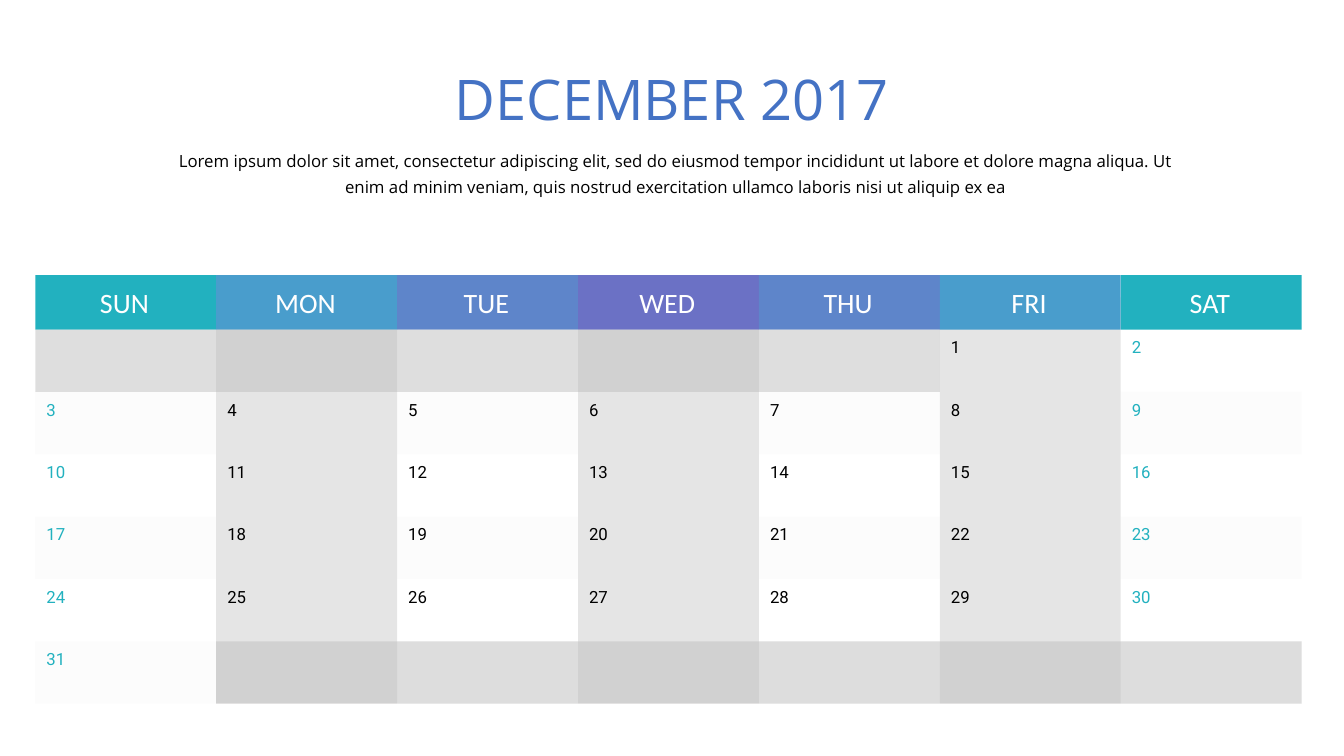
from lxml import etree
from pptx import Presentation
from pptx.dml.color import RGBColor
from pptx.enum import shapes, text
from pptx.oxml import ns
from pptx.util import Inches, Pt

TITLE = "DECEMBER 2017"
INTRO = ("Lorem ipsum dolor sit amet, consectetur adipiscing elit, sed do eiusmod "
         "tempor incididunt ut labore et dolore magna aliqua. Ut enim ad minim veniam, "
         "quis nostrud exercitation ullamco laboris nisi ut aliquip ex ea")

TEAL = RGBColor(0x22, 0xB1, 0xBF)
SKY = RGBColor(0x49, 0x9D, 0xCC)
BLUE = RGBColor(0x5E, 0x85, 0xCA)
VIOLET = RGBColor(0x6B, 0x71, 0xC5)
TITLE_BLUE = RGBColor(0x44, 0x72, 0xC4)
BAND_GRAY = RGBColor(0xE7, 0xE6, 0xE6)
EMPTY_GRAY = RGBColor(0xBF, 0xBF, 0xBF)
BLACK = RGBColor(0, 0, 0)
WHITE = RGBColor(0xFF, 0xFF, 0xFF)

WEEKDAYS = [("SUN", TEAL), ("MON", SKY), ("TUE", BLUE), ("WED", VIOLET),
            ("THU", BLUE), ("FRI", SKY), ("SAT", TEAL)]
DAYS_IN_MONTH = 31
FIRST_COLUMN = 5
SHADED_COLUMNS = (1, 3, 5)
BANDED_WEEKS = (1, 3, 5)
WEEKS = 6

LEFT, RIGHT = 0.35, 12.91
HEADER_TOP, HEADER_HEIGHT = 2.73, 0.54
WEEKS_TOP, BOTTOM = 3.27, 6.98
COLUMN_WIDTH = (RIGHT - LEFT) / len(WEEKDAYS)
WEEK_HEIGHT = (BOTTOM - WEEKS_TOP) / WEEKS
SHADE_TOP = 2.95  # tucked under the header row


def column_left(column):
    return LEFT + column * COLUMN_WIDTH


def week_top(week):
    return WEEKS_TOP + week * WEEK_HEIGHT


def add_block(parent, left, top, width, height, color, opacity=100):
    """Add a borderless rectangle; opacity is in percent."""
    shape = parent.shapes.add_shape(shapes.MSO_SHAPE.RECTANGLE, Inches(left),
                                    Inches(top), Inches(width), Inches(height))
    shape.shadow.inherit = False
    shape.line.fill.background()
    shape.fill.solid()
    shape.fill.fore_color.rgb = color
    if opacity < 100:
        color_element = shape.fill._xPr.find(".//" + ns.qn("a:srgbClr"))
        etree.SubElement(color_element, ns.qn("a:alpha"), val=str(opacity * 1000))


def add_label(parent, label, left, top, width, height, font, size, color,
              align=text.PP_ALIGN.CENTER, anchor=text.MSO_ANCHOR.MIDDLE,
              inset=0.06, wrap=True, line_spacing=None):
    box = parent.shapes.add_textbox(Inches(left), Inches(top),
                                    Inches(width), Inches(height))
    frame = box.text_frame
    frame.word_wrap = wrap
    frame.vertical_anchor = anchor
    frame.margin_left = frame.margin_right = Inches(inset)
    frame.margin_top = frame.margin_bottom = Inches(inset)
    frame.text = label
    paragraph = frame.paragraphs[0]
    paragraph.alignment = align
    paragraph.line_spacing = line_spacing
    run_font = paragraph.runs[0].font
    run_font.name = font
    run_font.size = Pt(size)
    run_font.color.rgb = color


def add_calendar(slide):
    calendar = slide.shapes.add_group_shape()

    for column in SHADED_COLUMNS:
        add_block(calendar, column_left(column), SHADE_TOP, COLUMN_WIDTH,
                  BOTTOM - SHADE_TOP, BLACK, 10)
    for week in BANDED_WEEKS:
        add_block(calendar, LEFT, week_top(week), RIGHT - LEFT, WEEK_HEIGHT,
                  BAND_GRAY, 10)

    for column, (name, color) in enumerate(WEEKDAYS):
        left = column_left(column)
        add_block(calendar, left, HEADER_TOP, COLUMN_WIDTH, HEADER_HEIGHT, color)
        add_label(calendar, name, left + 0.02, HEADER_TOP + 0.02, 1.73, 0.49,
                  "Calibri", 20, WHITE)

    first_empty = column_left((FIRST_COLUMN + DAYS_IN_MONTH) % len(WEEKDAYS))
    add_block(calendar, LEFT, week_top(0), column_left(FIRST_COLUMN) - LEFT,
              WEEK_HEIGHT, EMPTY_GRAY, 50)
    add_block(calendar, first_empty, week_top(WEEKS - 1), RIGHT - first_empty,
              WEEK_HEIGHT, EMPTY_GRAY, 50)

    for day in range(1, DAYS_IN_MONTH + 1):
        week, column = divmod(FIRST_COLUMN + day - 1, len(WEEKDAYS))
        color = TEAL if column in (0, 6) else BLACK
        add_label(calendar, str(day), column_left(column) + 0.05, week_top(week),
                  0.65, 0.35, "Roboto", 12, color, align=text.PP_ALIGN.LEFT)


def main():
    presentation = Presentation()
    presentation.slide_width = Inches(13.33)
    presentation.slide_height = Inches(7.5)
    slide = presentation.slides.add_slide(presentation.slide_layouts[6])
    add_calendar(slide)
    add_label(slide, TITLE, 4.47, 0.64, 4.38, 0.67, "Open Sans", 40, TITLE_BLUE,
              anchor=text.MSO_ANCHOR.TOP, inset=0, wrap=False)
    add_label(slide, INTRO, 1.71, 1.45, 9.99, 0.5, "Open Sans", 12, BLACK,
              anchor=text.MSO_ANCHOR.TOP, inset=0, line_spacing=1.25)
    presentation.save("out.pptx")


if __name__ == "__main__":
    main()
